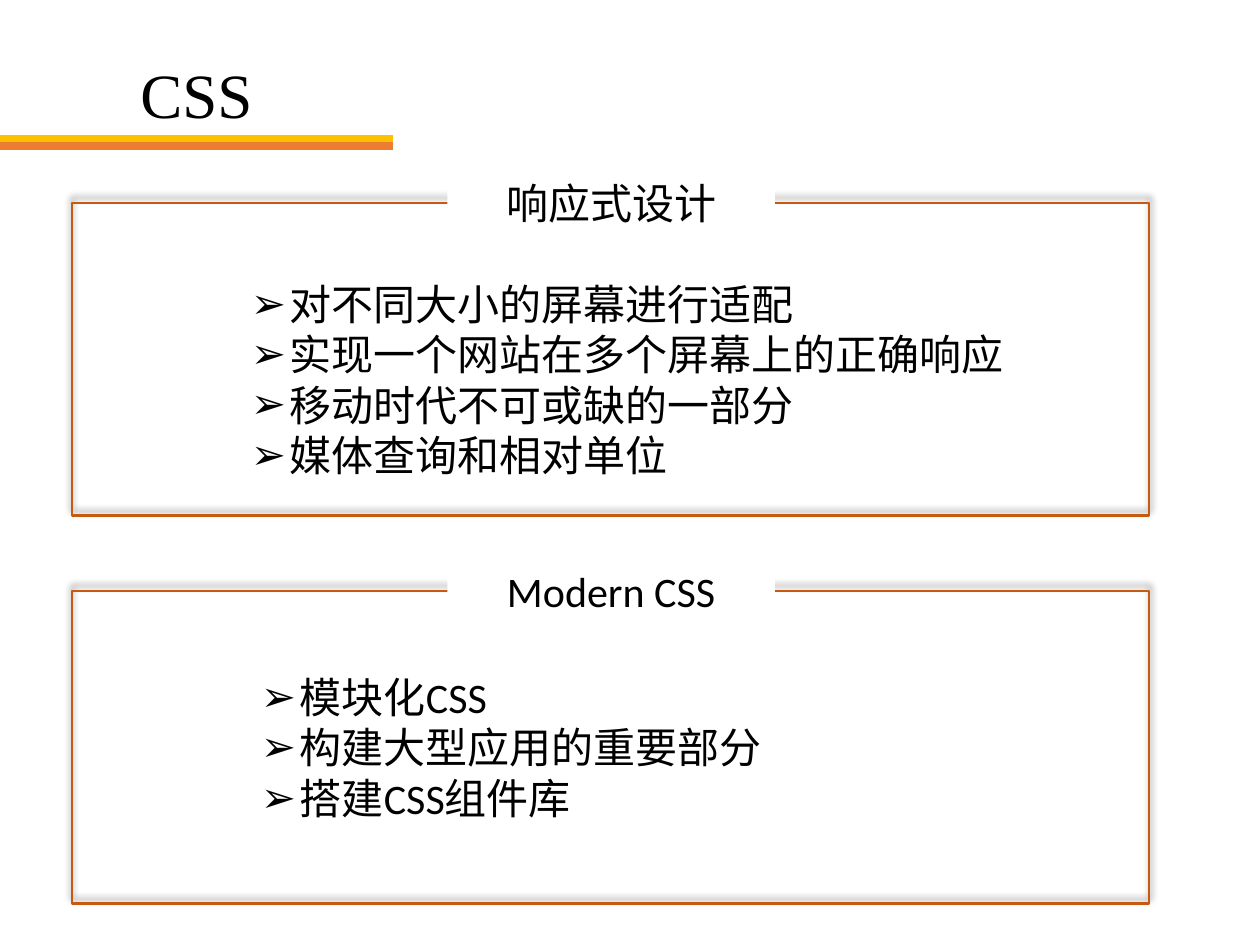
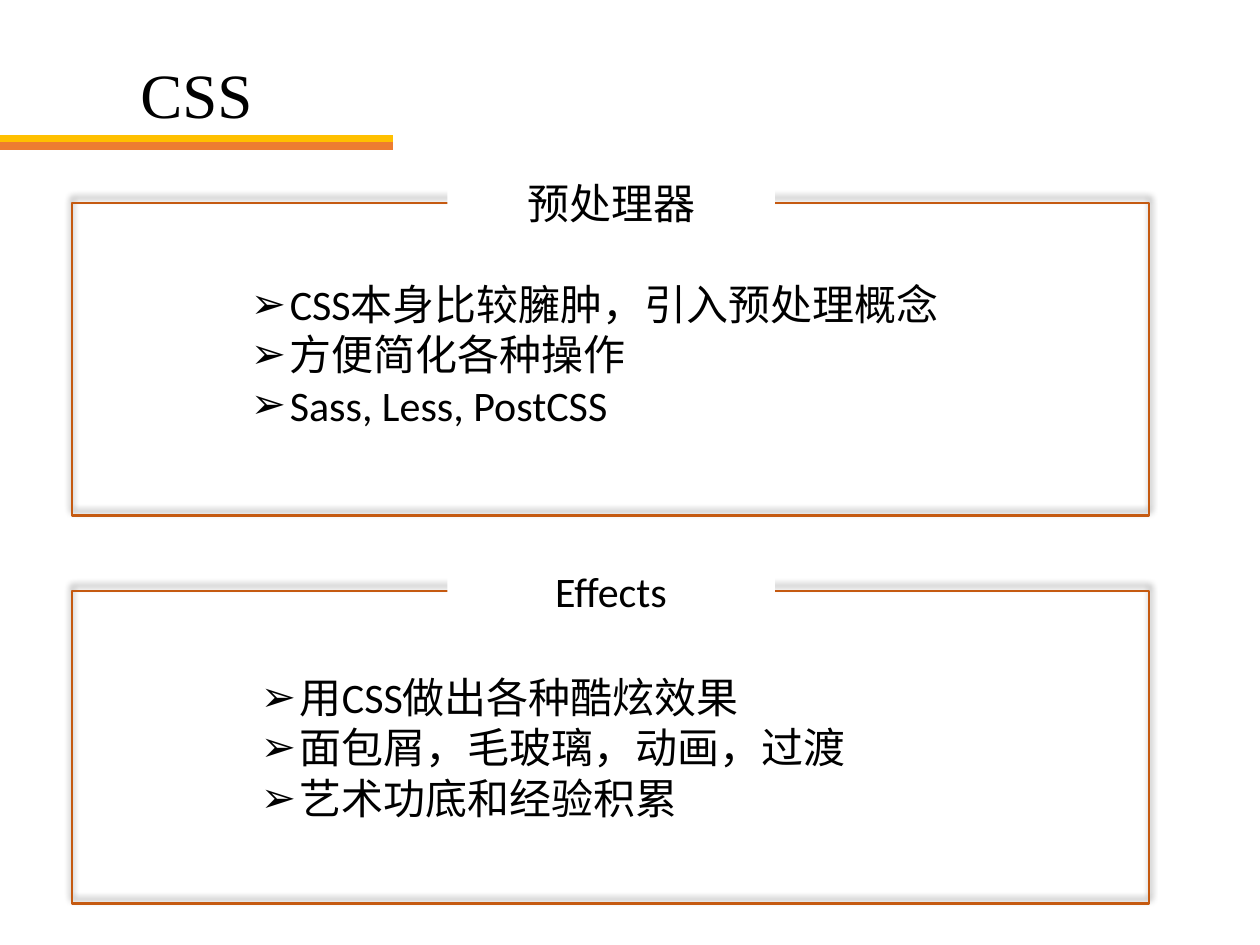
from dataclasses import dataclass

from lxml.etree import SubElement
from pptx import Presentation
from pptx.dml.color import RGBColor
from pptx.enum.lang import MSO_LANGUAGE_ID
from pptx.enum.shapes import MSO_CONNECTOR, MSO_SHAPE
from pptx.enum.text import MSO_ANCHOR, MSO_AUTO_SIZE, PP_ALIGN
from pptx.oxml.ns import qn
from pptx.slide import Slide, SlideLayout
from pptx.util import Inches, Pt

HUES = {"ink": "000000", "paper": "FFFFFF", "gold": "FFC000",
        "orange": "ED7D31", "rust": "C55A11"}
WIDE, HIGH = Inches(10), Inches(7.5)
COLS, ROWS = 100, 75
STEP = 30.8
BAR = 31.2


@dataclass(frozen=True)
class Box:
    """Place on the grid, in columns and rows."""
    col: float
    row: float
    wide: float
    high: float

    def down(self, rows: float) -> "Box":
        """Return the same box some rows lower."""
        return Box(self.col, self.row + rows, self.wide, self.high)

    def emu(self) -> tuple[int, int, int, int]:
        """Return left, top, width and height."""
        return (across(self.col), along(self.row),
                across(self.wide), along(self.high))


@dataclass(frozen=True)
class Panel:
    """Framed list with a label on its top edge."""
    label: str
    items: tuple[str, ...]


@dataclass(frozen=True)
class Page:
    """Title and panels of a slide."""
    title: str
    panels: tuple[Panel, ...]


TITLE = Box(0, 4.2, BAR, 7.1)
FRAME = Box(5.7, 16.1, 85.5, 24.8)
LABEL = Box(35.5, 13.6, 26, 5)
LISTS = (Box(18.9, 21.6, 62.3, 21.2), Box(19.7, 52.8, 60.6, 13.1))
BANDS = (("gold", 11), ("orange", 11.6))

PAGES = (
    Page("CSS", (
        Panel("响应式设计", ("对不同大小的屏幕进行适配", "实现一个网站在多个屏幕上的正确响应",
                        "移动时代不可或缺的一部分", "媒体查询和相对单位")),
        Panel("Modern CSS", ("模块化CSS", "构建大型应用的重要部分", "搭建CSS组件库")),
    )),
    Page("CSS", (
        Panel("预处理器", ("CSS本身比较臃肿，引入预处理概念", "方便简化各种操作",
                       "Sass, Less, PostCSS")),
        Panel("Effects", ("用CSS做出各种酷炫效果", "面包屑，毛玻璃，动画，过渡",
                          "艺术功底和经验积累")),
    )),
)


def across(cols: float) -> int:
    """Turn columns into a length."""
    return round(WIDE * cols / COLS)


def along(rows: float) -> int:
    """Turn rows into a length."""
    return round(HIGH * rows / ROWS)


def hue(name: str) -> RGBColor:
    """Look up a colour."""
    return RGBColor.from_string(HUES[name])


def place(shape, box: Box) -> None:
    """Move a shape onto a box."""
    shape.left, shape.top, shape.width, shape.height = box.emu()


def style(para, face: str, size: float, align: PP_ALIGN) -> None:
    """Set the font and alignment of a paragraph."""
    para.alignment = align
    para.font.name, para.font.size = face, Pt(size)
    para.font.color.rgb = hue("ink")
    para.font.language_id = MSO_LANGUAGE_ID.SIMPLIFIED_CHINESE


def bullet(para) -> None:
    """Give a paragraph an arrow bullet and a hanging indent."""
    props = para._p.get_or_add_pPr()
    props.set("marL", str(across(3.1)))
    props.set("indent", str(-across(3.1)))
    mark = props.makeelement(qn("a:buChar"), {"char": "➢"})
    props.insert_element_before(mark, "a:tabLst", "a:defRPr", "a:extLst")


def shade(shape) -> None:
    """Add a soft shadow above a shape."""
    shape.shadow.inherit = False
    effects = shape._element.spPr.find(qn("a:effectLst"))
    outer = SubElement(effects, qn("a:outerShdw"), blurRad=str(Pt(4)),
                       dist=str(Pt(3)), dir=str(270 * 60000), rotWithShape="0")
    tint = SubElement(outer, qn("a:srgbClr"), val=HUES["ink"])
    SubElement(tint, qn("a:alpha"), val="40000")


def set_up(layout: SlideLayout) -> None:
    """Place the title and lists shared by all slides."""
    for slot, box in zip(layout.placeholders, (TITLE, *LISTS)):
        place(slot, box)


def draw_bands(slide: Slide) -> None:
    """Draw the two bands and hand them to the layout."""
    tree = slide.slide_layout.shapes.element
    for num, (name, row) in enumerate(BANDS, 100):
        band = slide.shapes.add_connector(
            MSO_CONNECTOR.STRAIGHT, 0, along(row), across(BAR), along(row))
        band.line.color.rgb = hue(name)
        band.line.width = Pt(4.5)
        SubElement(band._element.spPr, qn("a:effectLst"))
        band._element.nvCxnSpPr.cNvPr.set("id", str(num))
        tree.append(band._element)


def draw_title(slide: Slide, text: str) -> None:
    """Fill in the title."""
    frame = slide.shapes.title.text_frame
    frame.text = text
    frame.vertical_anchor = MSO_ANCHOR.MIDDLE
    para = frame.paragraphs[0]
    para.line_spacing = 0.9
    style(para, "Times New Roman", 36, PP_ALIGN.CENTER)


def draw_list(slot, items: tuple[str, ...]) -> None:
    """Fill in a body with bulleted lines."""
    frame = slot.text_frame
    frame.text = "\n".join(items)
    frame.auto_size = MSO_AUTO_SIZE.NONE
    for para in frame.paragraphs:
        para.space_before = Pt(0)
        style(para, "Calibri", 24, PP_ALIGN.LEFT)
        bullet(para)


def draw_frame(slide: Slide, box: Box) -> None:
    """Draw the outline of a panel."""
    shape = slide.shapes.add_shape(MSO_SHAPE.RECTANGLE, *box.emu())
    shape.fill.background()
    shape.line.color.rgb = hue("rust")
    shape.line.width = Pt(1.5)
    shade(shape)


def draw_label(slide: Slide, box: Box, text: str) -> None:
    """Draw the label that breaks the outline."""
    shape = slide.shapes.add_shape(MSO_SHAPE.RECTANGLE, *box.emu())
    shape.shadow.inherit = False
    shape.fill.solid()
    shape.fill.fore_color.rgb = hue("paper")
    shape.line.fill.background()
    frame = shape.text_frame
    frame.text = text
    frame.word_wrap = True
    frame.vertical_anchor = MSO_ANCHOR.TOP
    style(frame.paragraphs[0], "Calibri", 24, PP_ALIGN.CENTER)


def draw_page(slide: Slide, page: Page) -> None:
    """Fill a slide with its title and panels."""
    draw_title(slide, page.title)
    for num, panel in enumerate(page.panels):
        draw_frame(slide, FRAME.down(num * STEP))
        draw_list(slide.placeholders[num + 1], panel.items)
        draw_label(slide, LABEL.down(num * STEP), panel.label)


def main() -> None:
    """Build and save the deck."""
    deck = Presentation()
    deck.slide_width, deck.slide_height = WIDE, HIGH
    layout = deck.slide_layouts.get_by_name("Two Content")
    set_up(layout)
    slides = [deck.slides.add_slide(layout) for _ in PAGES]
    draw_bands(slides[0])
    for slide, page in zip(slides, PAGES):
        draw_page(slide, page)
    deck.save("out.pptx")


if __name__ == "__main__":
    main()
